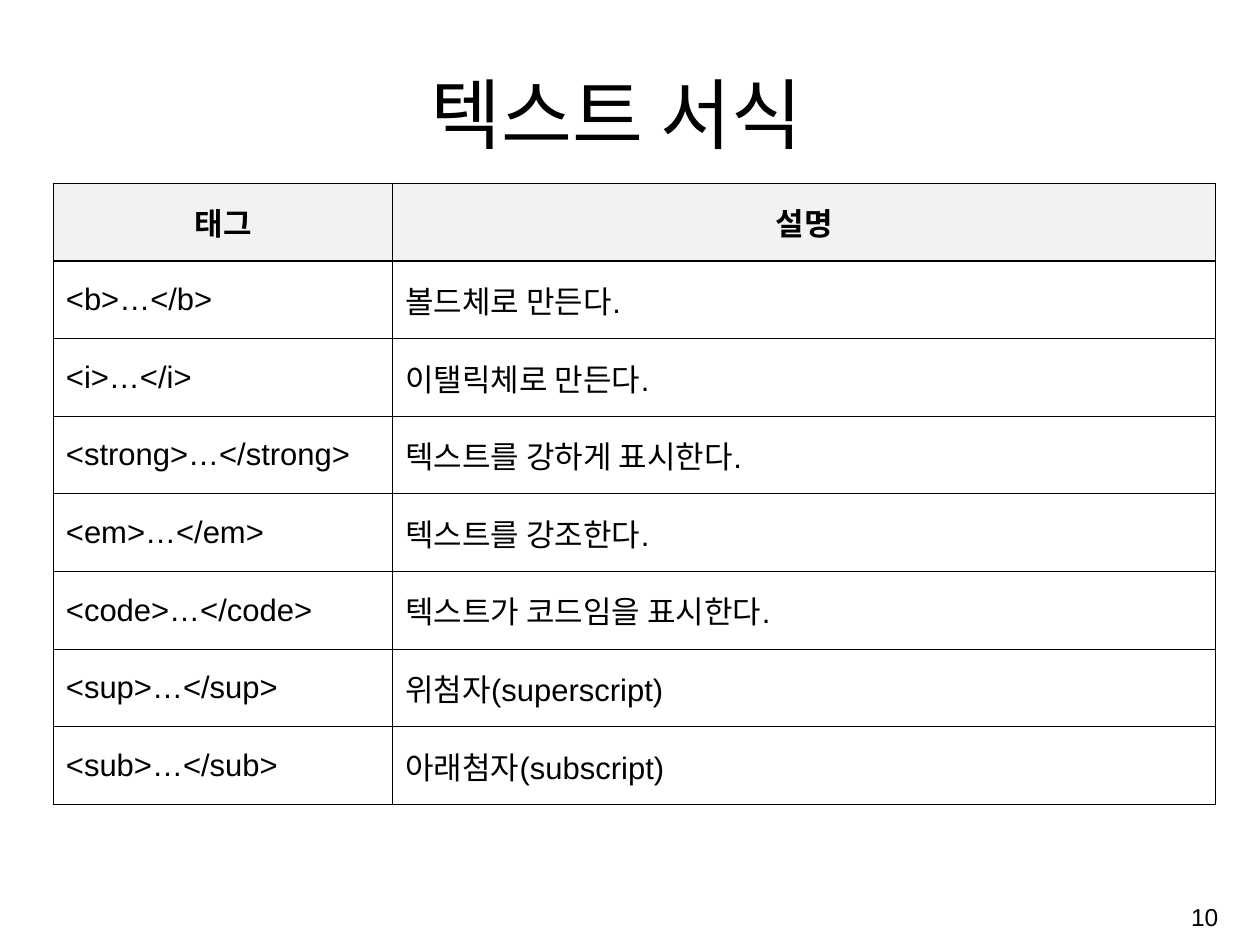
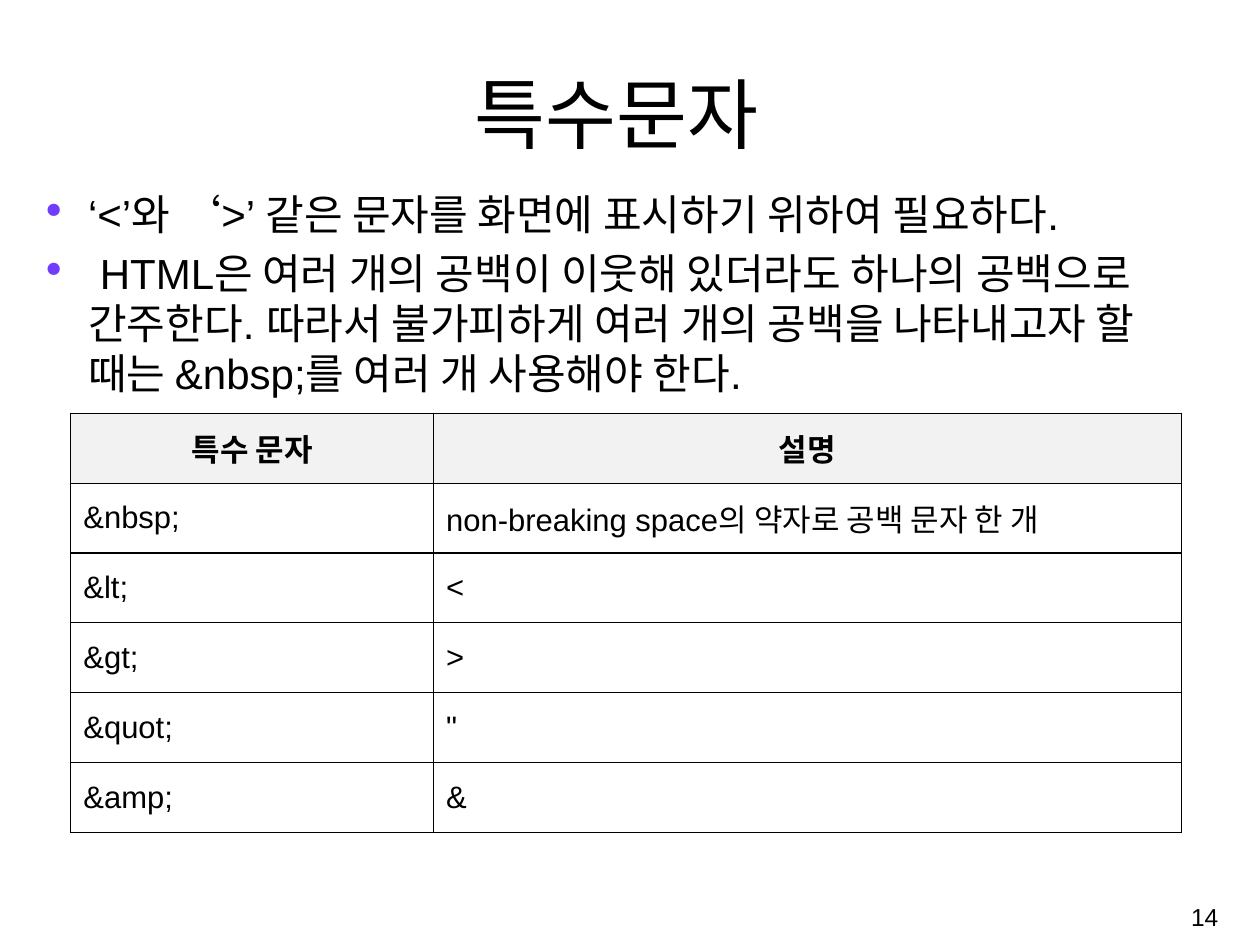
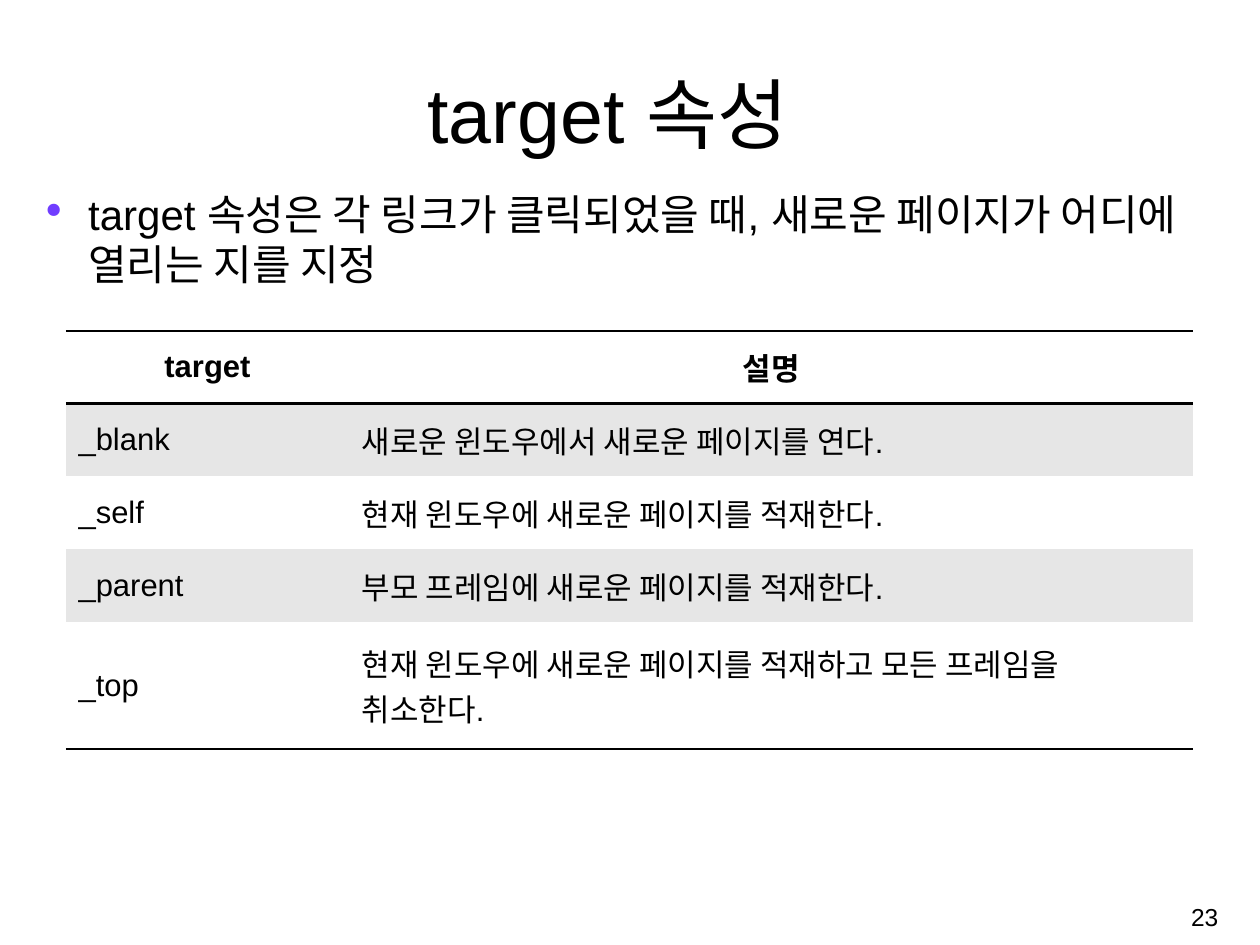
import pptx
import pptx.dml.color
import pptx.enum.text
import pptx.oxml.ns
import pptx.util
from lxml import etree

Inches = pptx.util.Inches
Pt = pptx.util.Pt
RGBColor = pptx.dml.color.RGBColor
ALIGN = pptx.enum.text.PP_ALIGN
ANCHOR = pptx.enum.text.MSO_ANCHOR
qn = pptx.oxml.ns.qn

BLACK = RGBColor(0x00, 0x00, 0x00)
WHITE = RGBColor(0xFF, 0xFF, 0xFF)
HEADER_GRAY = RGBColor(0xF2, 0xF2, 0xF2)
BAND_GRAY = RGBColor(0xE6, 0xE6, 0xE6)
BULLET_VIOLET = RGBColor(0x70, 0x3D, 0xFF)
FONT = "Arial"
EDGES = ("L", "R", "T", "B")

TITLE_BOX = (1.05, 0.61, 10.61, 1.08)
BODY_BOX = (0.32, 1.89, 12.32, 7.06)
NUMBER_BOX = (9.98, 9.15, 2.68, 0.6)

TAG_ROWS = [
    ("태그", "설명"),
    ("<b>…</b>", "볼드체로 만든다."),
    ("<i>…</i>", "이탤릭체로 만든다."),
    ("<strong>…</strong>", "텍스트를 강하게 표시한다."),
    ("<em>…</em>", "텍스트를 강조한다."),
    ("<code>…</code>", "텍스트가 코드임을 표시한다."),
    ("<sup>…</sup>", "위첨자(superscript)"),
    ("<sub>…</sub>", "아래첨자(subscript)"),
]
ENTITY_NOTES = [
    "‘<’와 ‘>’ 같은 문자를 화면에 표시하기 위하여 필요하다.",
    " HTML은 여러 개의 공백이 이웃해 있더라도 하나의 공백으로 간주한다. "
    "따라서 불가피하게 여러 개의 공백을 나타내고자 할 때는 &nbsp;를 여러 개 사용해야 한다.",
]
ENTITY_ROWS = [
    ("특수 문자", "설명"),
    ("&nbsp;", "non-breaking space의 약자로 공백 문자 한 개"),
    ("&lt;", "<"),
    ("&gt;", ">"),
    ("&quot;", '"'),
    ("&amp;", "&"),
]
TARGET_NOTES = [
    "target 속성은 각 링크가 클릭되었을 때, 새로운 페이지가 어디에 열리는 지를 지정",
]
TARGET_ROWS = [
    ("target", "설명"),
    ("_blank", "새로운 윈도우에서 새로운 페이지를 연다."),
    ("_self", "현재 윈도우에 새로운 페이지를 적재한다."),
    ("_parent", "부모 프레임에 새로운 페이지를 적재한다."),
    ("_top", "현재 윈도우에 새로운 페이지를 적재하고 모든 프레임을 취소한다."),
]


def write_text(paragraph, text, size, bold=False, align=ALIGN.LEFT, before=0):
    """Put formatted text into a paragraph."""
    paragraph.alignment = align
    paragraph.space_before = Pt(before)
    run = paragraph.add_run()
    run.text = text
    run.font.name = FONT
    run.font.size = Pt(size)
    run.font.bold = bold
    run.font.color.rgb = BLACK


def add_frame(slide, box, anchor):
    """Add a wrapping text box and return its text frame."""
    frame = slide.shapes.add_textbox(*map(Inches, box)).text_frame
    frame.word_wrap = True
    frame.vertical_anchor = anchor
    return frame


def add_bullet(paragraph):
    """Give a paragraph a violet bullet and a hanging indent."""
    properties = paragraph._p.get_or_add_pPr()
    properties.set("marL", str(Inches(0.49)))
    properties.set("indent", str(-Inches(0.49)))
    color = etree.SubElement(properties, qn("a:buClr"))
    etree.SubElement(color, qn("a:srgbClr"), val=str(BULLET_VIOLET))
    etree.SubElement(properties, qn("a:buChar"), char="∙")


def add_notes(slide, box, notes):
    """Place the bulleted paragraphs."""
    frame = add_frame(slide, box, ANCHOR.TOP)
    for index, note in enumerate(notes):
        paragraph = frame.add_paragraph() if index else frame.paragraphs[0]
        write_text(paragraph, note, 31.2, before=6.2 if index else 0)
        add_bullet(paragraph)


def set_borders(cell, widths):
    """Draw the given edges of a cell in black and hide the others."""
    properties = cell._tc.get_or_add_tcPr()
    for index, edge in enumerate(EDGES):
        width = widths.get(edge, 0)
        line = etree.Element(qn("a:ln" + edge), w=str(Pt(width)))
        if width:
            fill = etree.SubElement(line, qn("a:solidFill"))
            etree.SubElement(fill, qn("a:srgbClr"), val=str(BLACK))
        else:
            etree.SubElement(line, qn("a:noFill"))
        properties.insert(index, line)


def grid_style(row, last):
    """Return fill and borders for a fully ruled table."""
    return (WHITE if row else HEADER_GRAY), dict.fromkeys(EDGES, 1)


def banded_style(row, last):
    """Return fill and borders for a banded table with horizontal rules."""
    widths = {}
    if row == 0:
        widths["T"] = 2
    if row in (0, last):
        widths["B"] = 2
    if row == 1:
        widths["T"] = 2
    return (BAND_GRAY if row % 2 else WHITE), widths


def add_reference_table(slide, left, top, columns, heights, rows, style):
    """Place a two-column table with a bold centred header."""
    box = map(Inches, (left, top, sum(columns), sum(heights)))
    table = slide.shapes.add_table(len(rows), len(columns), *box).table
    table.first_row = table.horz_banding = False
    for column, width in zip(table.columns, columns):
        column.width = Inches(width)
    for row, texts in enumerate(rows):
        table.rows[row].height = Inches(heights[row])
        fill, widths = style(row, len(rows) - 1)
        for column, text in enumerate(texts):
            cell = table.cell(row, column)
            cell.vertical_anchor = ANCHOR.MIDDLE
            cell.margin_left = cell.margin_right = Inches(0.13)
            cell.margin_top = cell.margin_bottom = Inches(0.06)
            cell.fill.solid()
            cell.fill.fore_color.rgb = fill
            set_borders(cell, widths)
            write_text(cell.text_frame.paragraphs[0], text, 23, bold=row == 0,
                       align=ALIGN.LEFT if row else ALIGN.CENTER)


def add_page(deck, title, number, notes=()):
    """Add a slide with its title, page number and optional notes."""
    slide = deck.slides.add_slide(deck.slide_layouts[6])
    heading = add_frame(slide, TITLE_BOX, ANCHOR.BOTTOM)
    write_text(heading.paragraphs[0], title, 57.2, align=ALIGN.CENTER)
    if notes:
        add_notes(slide, BODY_BOX, notes)
    page = add_frame(slide, NUMBER_BOX, ANCHOR.MIDDLE)
    write_text(page.paragraphs[0], str(number), 18.2, align=ALIGN.RIGHT)
    return slide


def main():
    """Build and save the three slides."""
    deck = pptx.Presentation()
    deck.slide_width, deck.slide_height = Inches(12.99), Inches(9.74)
    tags = add_page(deck, "텍스트 서식", 10)
    add_reference_table(tags, 0.55, 1.89, (3.5, 8.48), [0.8] * 8, TAG_ROWS, grid_style)
    entities = add_page(deck, "특수문자", 14, ENTITY_NOTES)
    add_reference_table(entities, 0.73, 4.26, (3.74, 7.71), [0.72] * 6, ENTITY_ROWS, grid_style)
    targets = add_page(deck, "target 속성 ", 23, TARGET_NOTES)
    add_reference_table(targets, 0.68, 3.41, (2.92, 8.7), [0.75] * 4 + [1.31],
                        TARGET_ROWS, banded_style)
    deck.save("out.pptx")


if __name__ == "__main__":
    main()
